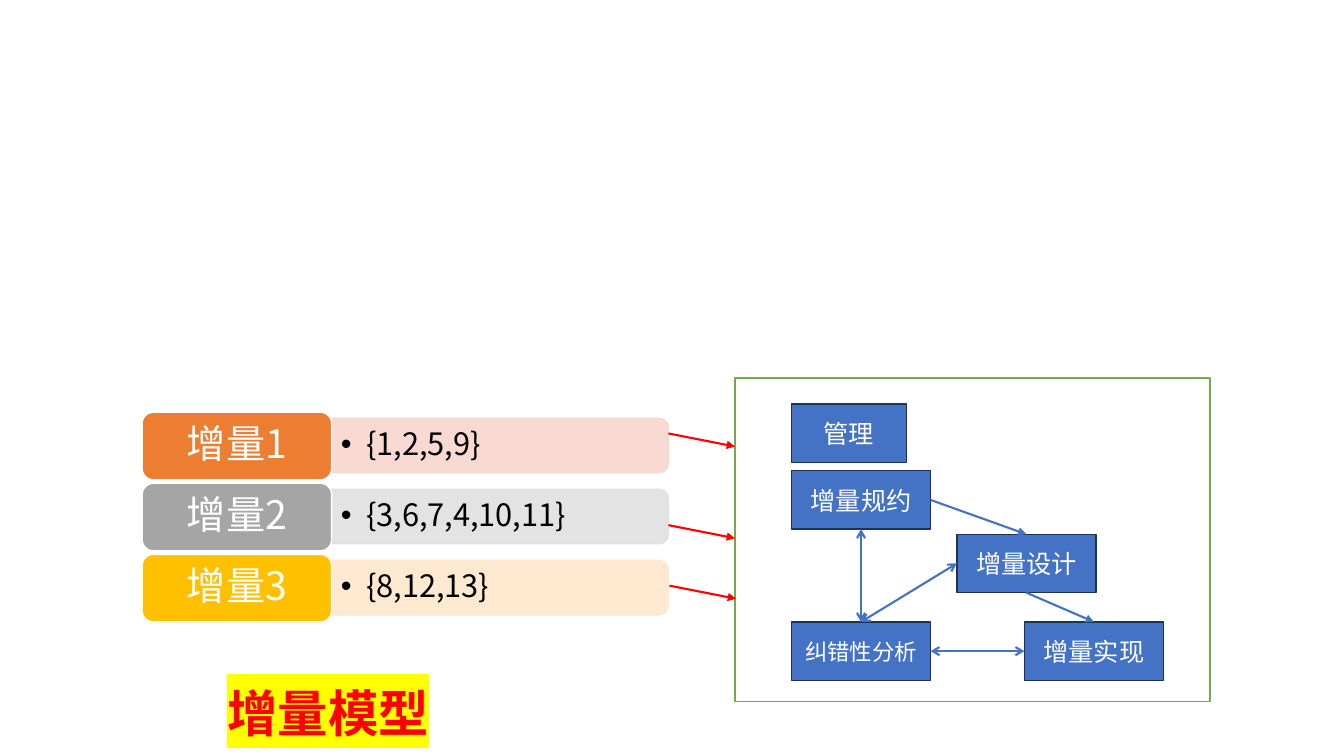
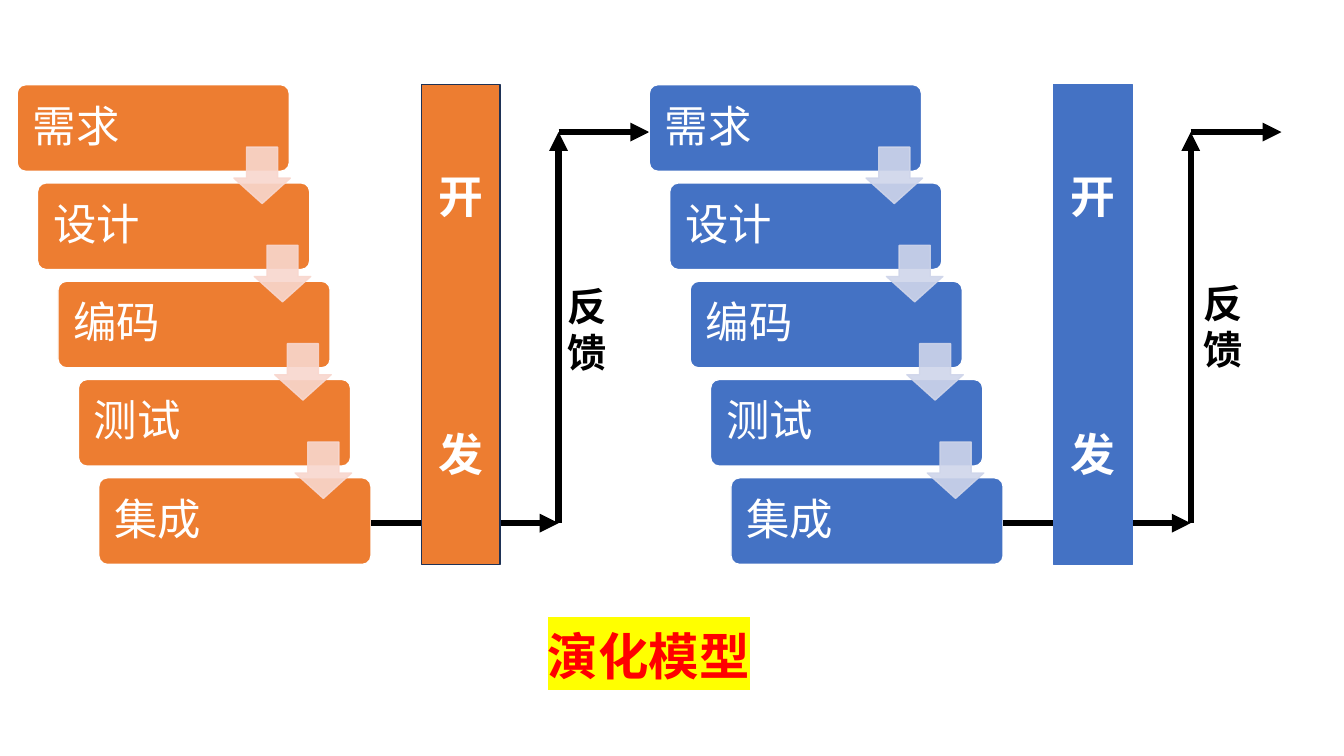
from lxml.etree import SubElement
from pptx import Presentation
from pptx.dml.color import RGBColor
from pptx.enum.shapes import MSO_CONNECTOR, MSO_SHAPE
from pptx.enum.text import MSO_ANCHOR, MSO_AUTO_SIZE, PP_ALIGN
from pptx.oxml.ns import qn
from pptx.util import Emu, Pt

PX = 9144  # 100 px to the inch
FONT = "Noto Sans CJK SC"
BLACK, WHITE = RGBColor(0, 0, 0), RGBColor(255, 255, 255)
RED, YELLOW = RGBColor(255, 0, 0), RGBColor(255, 255, 0)
BLUE, NAVY, PALE_BLUE = RGBColor(0x44, 0x72, 0xC4), RGBColor(0x1E, 0x32, 0x56), RGBColor(0xCF, 0xD5, 0xEA)
ORANGE, PALE_ORANGE = RGBColor(0xED, 0x7D, 0x31), RGBColor(0xF8, 0xD7, 0xCE)
GRAY, PALE_GRAY = RGBColor(0xA5, 0xA5, 0xA5), RGBColor(0xE1, 0xE1, 0xE1)
GOLD, PALE_GOLD = RGBColor(0xFF, 0xC0, 0), RGBColor(0xFF, 0xE8, 0xCC)
GREEN = RGBColor(0x70, 0xAD, 0x47)

# Incremental model: label, items, strong colour, pale colour, start of red arrow
INCREMENTS = [
    ("增量1", "{1,2,5,9}", ORANGE, PALE_ORANGE, (663, 430)),
    ("增量2", "{3,6,7,4,10,11}", GRAY, PALE_GRAY, (663, 521)),
    ("增量3", "{8,12,13}", GOLD, PALE_GOLD, (664, 581)),
]
# Activity: left, top, width, text size
ACTIVITIES = {
    "管理": (785, 401, 114, 18),
    "增量规约": (785, 467, 138, 18),
    "增量设计": (949, 530, 138, 18),
    "增量实现": (1016, 617, 138, 18),
    "纠错性分析": (785, 617, 138, 16),
}
TOP, LEFT, BOTTOM, RIGHT = range(4)  # connection sites of a rectangle
# From, site, to, site, whether it points both ways
FLOWS = [
    ("增量规约", RIGHT, "增量设计", TOP, False),
    ("增量设计", BOTTOM, "增量实现", TOP, False),
    ("增量实现", LEFT, "纠错性分析", RIGHT, True),
    ("增量规约", BOTTOM, "纠错性分析", TOP, True),
    ("增量设计", LEFT, "纠错性分析", TOP, True),
]

# Evolutionary model
STEPS = ["需求", "设计", "编码", "测试", "集成"]
# Left, strong colour, pale colour, bar outline, place of the feedback text
CYCLES = [
    (17, ORANGE, PALE_ORANGE, NAVY, (553, 276)),
    (644, BLUE, PALE_BLUE, BLUE, (1184, 273)),
]


def px(*lengths):
    return [Emu(round(length * PX)) for length in lengths]


def format_paragraph(paragraph, size, color, bold=False, align=PP_ALIGN.LEFT, spacing=None):
    paragraph.alignment = align
    if spacing:
        paragraph.line_spacing = spacing
    font = paragraph.font
    font.size, font.bold, font.name = Pt(size), bold, FONT
    font.color.rgb = color
    defaults = paragraph._p.get_or_add_pPr().find(qn("a:defRPr"))
    SubElement(defaults, qn("a:ea")).set("typeface", FONT)


def add_block(slide, kind, box, fill, line, alpha=None, adjustments=()):
    shape = slide.shapes.add_shape(kind, *px(*box))
    shape.shadow.inherit = False
    shape.fill.solid()
    shape.fill.fore_color.rgb = fill
    shape.line.color.rgb = line
    shape.line.width = Pt(1)
    for index, value in enumerate(adjustments):
        shape.adjustments[index] = value
    if alpha:
        for color in shape._element.spPr.findall(".//" + qn("a:srgbClr")):
            SubElement(color, qn("a:alpha")).set("val", str(alpha * 1000))
    return shape


def add_label(shape, text, size, align=PP_ALIGN.CENTER, spacing=None, margin=None):
    frame = shape.text_frame
    frame.vertical_anchor = MSO_ANCHOR.MIDDLE
    if margin is not None:
        frame.margin_left = frame.margin_right = frame.margin_top = frame.margin_bottom = px(margin)[0]
    frame.text = text
    format_paragraph(frame.paragraphs[0], size, WHITE, align=align, spacing=spacing)


def add_arrow(slide, start, end, color, width, head=None, tail="triangle"):
    connector = slide.shapes.add_connector(MSO_CONNECTOR.STRAIGHT, *px(*start, *end))
    connector.line.color.rgb = color
    connector.line.width = Pt(width)
    line = connector.line._get_or_add_ln()
    for tag, kind in (("a:headEnd", head), ("a:tailEnd", tail)):
        if kind:
            SubElement(line, qn(tag)).set("type", kind)
    SubElement(connector._element.spPr, qn("a:effectLst"))
    return connector


def add_titled_slide(presentation, text, left, top):
    slide = presentation.slides.add_slide(presentation.slide_layouts[5])
    title = slide.shapes.title
    title.left, title.top, title.width, title.height = px(left, top, 329, 67)
    frame = title.text_frame
    frame.auto_size = MSO_AUTO_SIZE.NONE
    frame.vertical_anchor = MSO_ANCHOR.BOTTOM
    frame.text = text
    paragraph = frame.paragraphs[0]
    format_paragraph(paragraph, 36, RED, True, PP_ALIGN.CENTER, 0.9)
    highlight = SubElement(paragraph.runs[0]._r.get_or_add_rPr(), qn("a:highlight"))
    SubElement(highlight, qn("a:srgbClr")).set("val", str(YELLOW))
    return slide


def add_bullet_text(slide, text, box):
    frame = slide.shapes.add_textbox(*px(*box)).text_frame
    frame.word_wrap = True
    frame.vertical_anchor = MSO_ANCHOR.MIDDLE
    frame.margin_left = frame.margin_right = px(9)[0]
    frame.text = text
    paragraph = frame.paragraphs[0]
    paragraph.line_spacing = 0.9
    properties = paragraph._p.get_or_add_pPr()
    properties.set("marL", str(25 * PX))
    properties.set("indent", str(-25 * PX))
    SubElement(properties, qn("a:buFont")).set("typeface", "Arial")
    SubElement(properties, qn("a:buChar")).set("char", "•")
    format_paragraph(paragraph, 22, BLACK)


def build_incremental(presentation):
    slide = add_titled_slide(presentation, "增量模型", 161, 676)
    # Increments and their items
    for index, (label, items, strong, pale, _) in enumerate(INCREMENTS):
        top = 409 + index * 70.5
        strip = add_block(slide, MSO_SHAPE.ROUND_2_SAME_RECTANGLE, (469, top - 134, 54, 334), pale, pale, 90)
        strip.rotation = 90
        add_bullet_text(slide, items, (329, top + 9, 332, 48))
        tab = add_block(slide, MSO_SHAPE.ROUNDED_RECTANGLE, (141, top, 188, 67), strong, WHITE)
        add_label(tab, label, 28, spacing=0.9, margin=6)
    # Activities within one increment
    add_block(slide, MSO_SHAPE.RECTANGLE, (729, 375, 471, 321), WHITE, GREEN)
    boxes = {}
    for name, (left, top, width, size) in ACTIVITIES.items():
        boxes[name] = add_block(slide, MSO_SHAPE.RECTANGLE, (left, top, width, 58), BLUE, NAVY)
        add_label(boxes[name], name, size)
    for source, source_site, target, target_site, both in FLOWS:
        head, tail = ("arrow", "arrow") if both else (None, "triangle")
        connector = add_arrow(slide, (0, 0), (0, 0), BLUE, 1.5, head, tail)
        connector.begin_connect(boxes[source], source_site)
        connector.end_connect(boxes[target], target_site)
    # Increments feeding the activities
    for *_, (left, top) in INCREMENTS:
        add_arrow(slide, (left, top), (left + 66, top + 13), RED, 1.5)


def add_cycle(slide, left, strong, pale, outline, feedback):
    # Steps, then the arrows between them
    for index, step in enumerate(STEPS):
        box = (left + index * 20.25, 84 + index * 97.5, 270, 86)
        shape = add_block(slide, MSO_SHAPE.ROUNDED_RECTANGLE, box, strong, WHITE, adjustments=[0.1])
        add_label(shape, step, 31, PP_ALIGN.LEFT, 0.9, 13)
    for index in range(len(STEPS) - 1):
        box = (left + 215 + index * 20.25, 146 + index * 97.5, 56, 56)
        add_block(slide, MSO_SHAPE.DOWN_ARROW, box, pale, pale, 90, [0.55, 0.45])
    # Feedback route, passing behind the development bar
    turn = left + 537
    route = [(left + 351, 519), (turn, 519), (turn, 131), (turn + 90, 131)]
    for start, end in zip(route, route[1:]):
        add_arrow(slide, start, end, BLACK, 4.5)
    bar = add_block(slide, MSO_SHAPE.RECTANGLE, (left + 401, 84, 78, 476), strong, outline)
    bar.text_frame.text = "开\n发"
    bar.text_frame.vertical_anchor = MSO_ANCHOR.MIDDLE
    for paragraph in bar.text_frame.paragraphs:
        format_paragraph(paragraph, 32, WHITE, True, PP_ALIGN.CENTER)
    bar.text_frame.paragraphs[1].space_before = Pt(146)
    note = slide.shapes.add_textbox(*px(*feedback, 59, 104)).text_frame
    note.word_wrap = False
    note.text = "反\n馈"
    for paragraph in note.paragraphs:
        format_paragraph(paragraph, 28, BLACK, True, spacing=Pt(33))


def build_evolutionary(presentation):
    slide = add_titled_slide(presentation, "演化模型", 479, 619)
    for cycle in CYCLES:
        add_cycle(slide, *cycle)


def main():
    presentation = Presentation()
    presentation.slide_width, presentation.slide_height = px(1333, 750)
    build_incremental(presentation)
    build_evolutionary(presentation)
    presentation.save("out.pptx")


if __name__ == "__main__":
    main()
